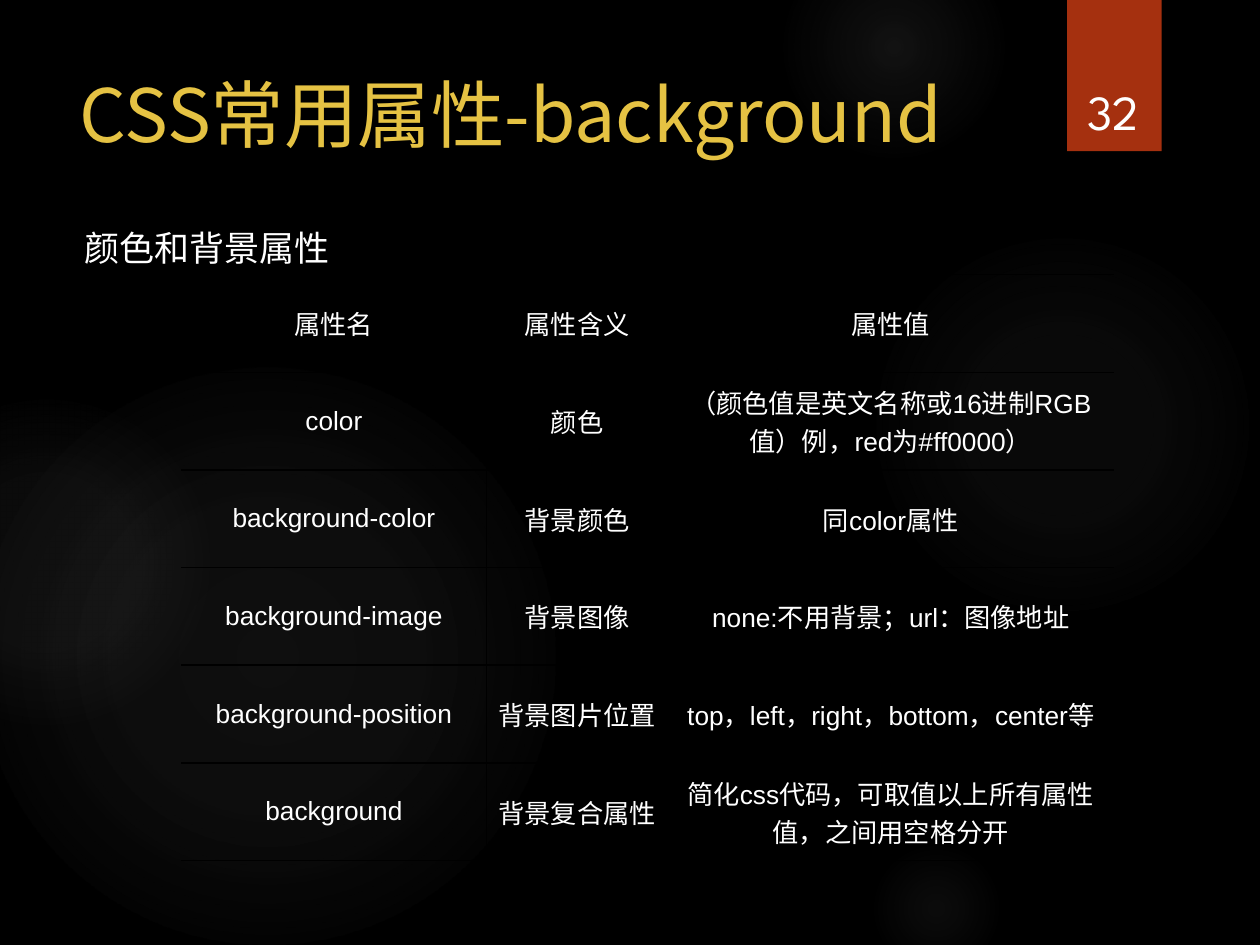
from dataclasses import dataclass

from lxml import etree
from pptx import Presentation
from pptx.dml.color import RGBColor
from pptx.enum.shapes import MSO_SHAPE
from pptx.enum.text import MSO_ANCHOR, PP_ALIGN
from pptx.oxml import parse_xml
from pptx.oxml.ns import nsdecls, qn
from pptx.util import Inches, Pt

OVAL, RECTANGLE = MSO_SHAPE.OVAL, MSO_SHAPE.RECTANGLE
TOP, MIDDLE, BOTTOM = MSO_ANCHOR.TOP, MSO_ANCHOR.MIDDLE, MSO_ANCHOR.BOTTOM
LEFT, CENTER = PP_ALIGN.LEFT, PP_ALIGN.CENTER


@dataclass(frozen=True)
class Theme:
    """Colours, typefaces and type sizes of the slide."""
    background: str = "000000"
    glow: str = "848484"
    tab: str = "A5300F"
    title: str = "E5C243"
    text: str = "FFFFFF"
    border: str = "000000"
    heading_font: str = "Noto Sans CJK SC"
    number_font: str = "League Spartan"
    table_font: str = "Arial"
    title_size: int = 42
    number_size: int = 28
    subtitle_size: int = 20
    table_size: int = 15


THEME = Theme()

GLOWS = [
    (6.89, 1.83, 3.08, [(0, 7), (36, 6), (69, 0)]),
    (6.22, -0.5, 1.75, [(0, 14), (36, 7), (73, 0)]),
    (6.89, 6.67, 1.08, [(0, 9), (36, 5), (66, 0)]),
    (-0.17, 2.92, 4.58, [(0, 11), (36, 10), (75, 0)]),
    (-0.92, 3.17, 2.58, [(0, 8), (36, 8), (72, 0)]),
]

COLUMN_WIDTHS = [2.42, 1.44, 3.54]
PROPERTIES = [
    ("属性名", "属性含义", "属性值"),
    ("color", "颜色", "（颜色值是英文名称或16进制RGB值）例，red为#ff0000）"),
    ("background-color", "背景颜色", "同color属性"),
    ("background-image", "背景图像", "none:不用背景；url：图像地址"),
    ("background-position", "背景图片位置", "top，left，right，bottom，center等"),
    ("background", "背景复合属性", "简化css代码，可取值以上所有属性值，之间用空格分开"),
]


def set_attributes(target, values):
    """Set every named attribute of the target."""
    for name, value in values.items():
        setattr(target, name, value)


def write(frame, text, font, size, color, align=LEFT, before=0, after=0):
    """Write one formatted paragraph into a text frame."""
    paragraph = frame.paragraphs[0]
    set_attributes(paragraph, {"alignment": align, "space_before": Pt(before), "space_after": Pt(after)})
    run = paragraph.add_run()
    run.text = text
    set_attributes(run.font, {"name": font, "size": Pt(size), "bold": False})
    run.font.color.rgb = RGBColor.from_string(color)
    if font == THEME.heading_font:
        etree.SubElement(run.font._element, qn("a:ea"), typeface=font)


def add_plain_shape(slide, kind, box):
    """Add a shape without line or shadow behind the title."""
    shape = slide.shapes.add_shape(kind, *map(Inches, box))
    shape.line.fill.background()
    shape.shadow.inherit = False
    slide.shapes.title.element.addprevious(shape.element)
    return shape


def add_glow(slide, box, stops):
    """Add a circle of light that fades toward its rim."""
    glow = add_plain_shape(slide, OVAL, box)
    stop_xml = "".join(
        f'<a:gs pos="{position * 1000}"><a:srgbClr val="{THEME.glow}">'
        f'<a:alpha val="{alpha * 1000}"/></a:srgbClr></a:gs>'
        for position, alpha in stops)
    gradient = parse_xml(
        f'<a:gradFill {nsdecls("a")} rotWithShape="1"><a:gsLst>{stop_xml}</a:gsLst><a:path path="circle">'
        '<a:fillToRect l="50000" t="50000" r="50000" b="50000"/></a:path></a:gradFill>')
    glow.element.spPr.find(qn("a:prstGeom")).addnext(gradient)


def add_text(slide, box, anchor, text, font, size, **paragraph):
    """Add a wrapping text box in the text colour."""
    frame = slide.shapes.add_textbox(*map(Inches, box)).text_frame
    set_attributes(frame, {"word_wrap": True, "vertical_anchor": anchor})
    write(frame, text, font, size, THEME.text, **paragraph)


def add_title(slide, box, text):
    """Place and format the title placeholder."""
    title = slide.shapes.title
    set_attributes(title, dict(zip(("left", "top", "width", "height"), map(Inches, box))))
    set_attributes(title.text_frame, {"word_wrap": True, "vertical_anchor": TOP})
    write(title.text_frame, text, THEME.heading_font, THEME.title_size, THEME.title)


def add_page_tab(slide, box, number):
    """Add the coloured tab with the page number inside its lower edge."""
    left, top, width, height = box
    tab = add_plain_shape(slide, RECTANGLE, box)
    tab.fill.solid()
    tab.fill.fore_color.rgb = RGBColor.from_string(THEME.tab)
    number_box = (left + 0.02, top + 0.32, width - 0.06, height - 0.36)
    add_text(slide, number_box, BOTTOM, number, THEME.number_font, THEME.number_size, align=CENTER)


def set_borders(cell, hidden_side):
    """Draw thin borders on all sides of a cell but one."""
    properties = cell._tc.get_or_add_tcPr()
    for index, side in enumerate(("lnL", "lnR", "lnT", "lnB")):
        paint = "<a:noFill/>" if side == hidden_side else (
            f'<a:solidFill><a:srgbClr val="{THEME.border}"/></a:solidFill>')
        properties.insert(index, parse_xml(f'<a:{side} {nsdecls("a")} w="12700">{paint}</a:{side}>'))


def add_property_table(slide, box):
    """Add the table of properties, meanings and values."""
    table = slide.shapes.add_table(len(PROPERTIES), len(COLUMN_WIDTHS), *map(Inches, box)).table
    set_attributes(table, {"first_row": False, "horz_banding": False})
    for column, width in zip(table.columns, COLUMN_WIDTHS):
        column.width = Inches(width)
    hidden_sides = ("lnL", None, "lnR")
    cell_format = {"vertical_anchor": MIDDLE, "margin_left": Inches(0.06), "margin_right": Inches(0.06),
                   "margin_top": 0, "margin_bottom": 0}
    for row, texts in zip(table.rows, PROPERTIES):
        for cell, text, hidden_side in zip(row.cells, texts, hidden_sides):
            set_attributes(cell, cell_format)
            cell.fill.background()
            set_borders(cell, hidden_side)
            write(cell.text_frame, text, THEME.table_font, THEME.table_size, THEME.text, CENTER, 1, 1)


def main():
    """Build and save the slide."""
    deck = Presentation()
    set_attributes(deck, {"slide_width": Inches(10), "slide_height": Inches(7.5)})
    slide = deck.slides.add_slide(deck.slide_layouts[5])
    slide.background.fill.solid()
    slide.background.fill.fore_color.rgb = RGBColor.from_string(THEME.background)
    for left, top, diameter, stops in GLOWS:
        add_glow(slide, (left, top, diameter, diameter), stops)
    add_title(slide, (0.53, 0.5, 7.72, 1.53), "CSS常用属性-background")
    add_text(slide, (0.57, 1.75, 8.27, 0.56), TOP, "颜色和背景属性",
             THEME.heading_font, THEME.subtitle_size, before=10)
    add_page_tab(slide, (8.47, 0, 0.75, 1.2), "32")
    add_property_table(slide, (1.44, 2.18, 7.4, 4.65))
    deck.save("out.pptx")


if __name__ == "__main__":
    main()
